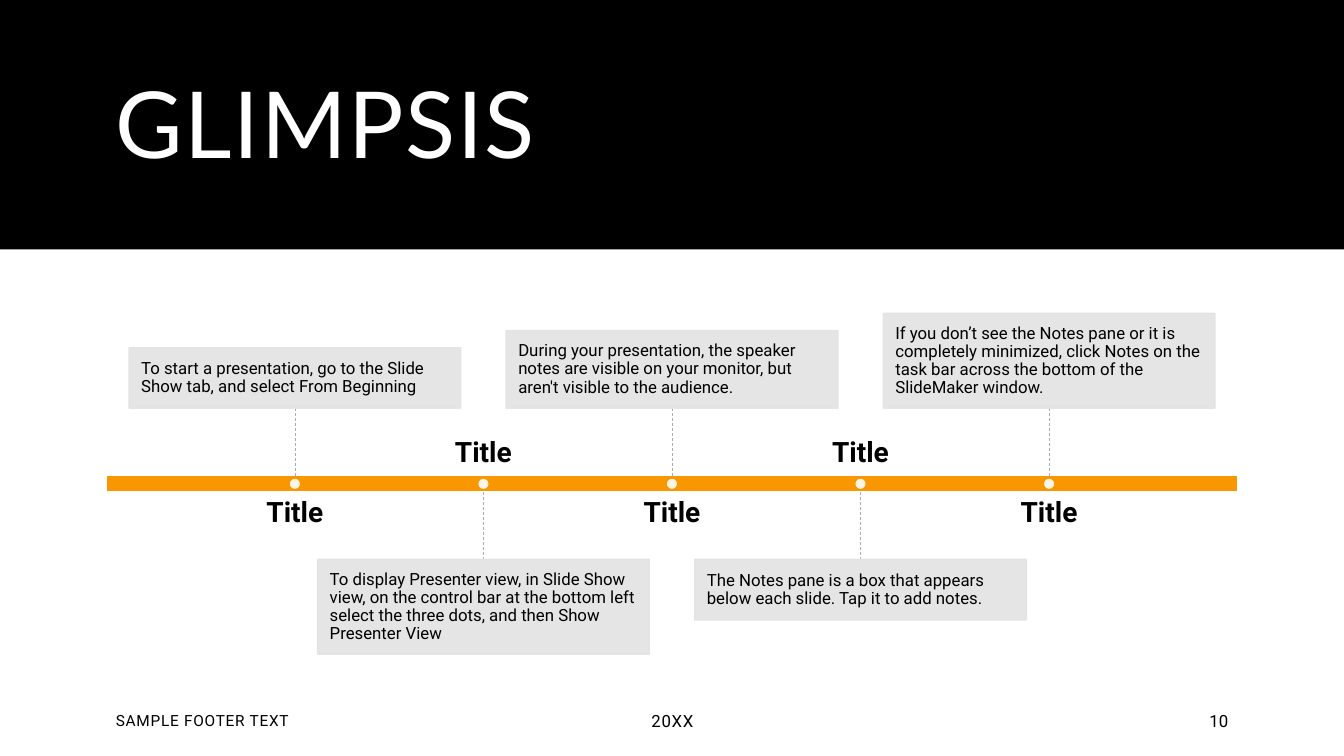
from lxml.etree import SubElement
from pptx import Presentation
from pptx.dml.color import RGBColor
from pptx.enum.dml import MSO_LINE
from pptx.enum.shapes import MSO_CONNECTOR, MSO_SHAPE as Kind
from pptx.enum.text import MSO_ANCHOR as Anchor, PP_ALIGN as Align
from pptx.oxml.ns import qn
from pptx.util import Inches, Pt

W, H = 13.33, 7.5
EDGE, WIDE = 1.05, 11.23
STEP, BOX = 1.87, 3.29
TOP, BASE = 4.72, 4.88
MID = (TOP + BASE) / 2
STEM, DOT = 0.67, 0.1
INK, PALE, GREY = "000000", "FFFFFF", "E3E3E3"

deck = Presentation()
deck.slide_width, deck.slide_height = Inches(W), Inches(H)
slide = deck.slides.add_slide(deck.slide_layouts[6])
shapes = slide.shapes


def paint(fill, tint, alpha=100):
    fill.solid()
    fill.fore_color.rgb = RGBColor.from_string(tint)
    if alpha < 100:
        for node in fill._xPr.iter(qn("a:srgbClr")):
            SubElement(node, qn("a:alpha"), val=str(alpha * 1000))


def write(shape, text, size, tint=INK, face="Roboto", bold=False, space=0,
          align=Align.LEFT, lead=1.0, anchor=Anchor.MIDDLE, pad=(0.1, 0.05)):
    frame = shape.text_frame
    side, rim = map(Inches, pad)
    para = frame.paragraphs[0]
    run = para.add_run()
    run.text = text
    looks = [
        (frame, {"word_wrap": True, "vertical_anchor": anchor,
                 "margin_left": side, "margin_right": side,
                 "margin_top": rim, "margin_bottom": rim}),
        (para, {"alignment": align, "line_spacing": lead}),
        (run.font, {"name": face, "size": Pt(size), "bold": bold}),
    ]
    for thing, look in looks:
        for key, value in look.items():
            setattr(thing, key, value)
    paint(run.font.fill, tint)
    if space:
        run.font._element.set("spc", str(int(space * 100)))


band = shapes.add_shape(Kind.RECTANGLE, 0, 0, Inches(W), Inches(H * 0.33))
band.shadow.inherit = False
paint(band.fill, INK)
band.line.fill.background()

head = shapes.add_textbox(*map(Inches, (EDGE, 0.35, WIDE, 1.86)))
write(head, "GLIMPSIS", 66, PALE, "Lato", space=1.2, lead=0.9)

bar = shapes.add_shape(
    Kind.RECTANGLE, *map(Inches, (EDGE, TOP, WIDE, BASE - TOP)))
bar.shadow.inherit = False
paint(bar.fill, "F99700")
paint(bar.line.fill, PALE)
bar.line.width = Pt(1)

steps = [
    (2, "To start a presentation, go to the Slide Show tab, "
        "and select From Beginning"),
    (4, "To display Presenter view, in Slide Show view, on the control bar "
        "at the bottom left select the three dots, and then Show "
        "Presenter View"),
    (3, "During your presentation, the speaker notes are visible on your "
        "monitor, but aren't visible to the audience."),
    (2, "The Notes pane is a box that appears below each slide. "
        "Tap it to add notes."),
    (4, "If you don’t see the Notes pane or it is completely minimized, "
        "click Notes on the task bar across the bottom of the "
        "SlideMaker window."),
]

for i, (rows, text) in enumerate(steps):
    x = W / 2 + (i - 2) * STEP
    tall = 0.26 + 0.17 * rows
    if i % 2:
        start, end = BASE, BASE + STEM
        y, name, hold = end, 4.21, Anchor.BOTTOM
    else:
        start, end = TOP - STEM, TOP
        y, name, hold = start - tall, 4.94, Anchor.TOP

    stem = shapes.add_connector(
        MSO_CONNECTOR.STRAIGHT, *map(Inches, (x, start, x, end)))
    SubElement(stem._element.spPr, qn("a:effectLst"))
    paint(stem.line.fill, "ACACAC")
    stem.line.width = Pt(0.5)
    stem.line.dash_style = MSO_LINE.DASH

    card = shapes.add_shape(
        Kind.RECTANGLE, *map(Inches, (x - BOX / 2, y, BOX, tall)))
    card.shadow.inherit = False
    paint(card.fill, GREY, 90)
    paint(card.line.fill, GREY, 90)
    card.line.width = Pt(1)
    write(card, text, 12, lead=0.9, pad=(0.12, 0.12))

    label = shapes.add_textbox(*map(Inches, (x - 1.5, name, 3, 0.44)))
    write(label, "Title", 20, bold=True, align=Align.CENTER, lead=0.9,
          anchor=hold, pad=(0, 0))

    dot = shapes.add_shape(
        Kind.OVAL, *map(Inches, (x - DOT / 2, MID - DOT / 2, DOT, DOT)))
    dot.shadow.inherit = False
    paint(dot.fill, PALE, 90)
    dot.line.fill.background()

feet = [
    (EDGE, 3.54, "SAMPLE FOOTER TEXT", 11, 0.5, Align.LEFT),
    (4.9, 3.54, "20XX", 12, 0.5, Align.CENTER),
    (11.26, 1.02, "10", 12, 0, Align.RIGHT),
]
for x, wide, text, size, space, align in feet:
    foot = shapes.add_textbox(*map(Inches, (x, 6.95, wide, 0.4)))
    write(foot, text, size, space=space, align=align)

deck.save("out.pptx")
